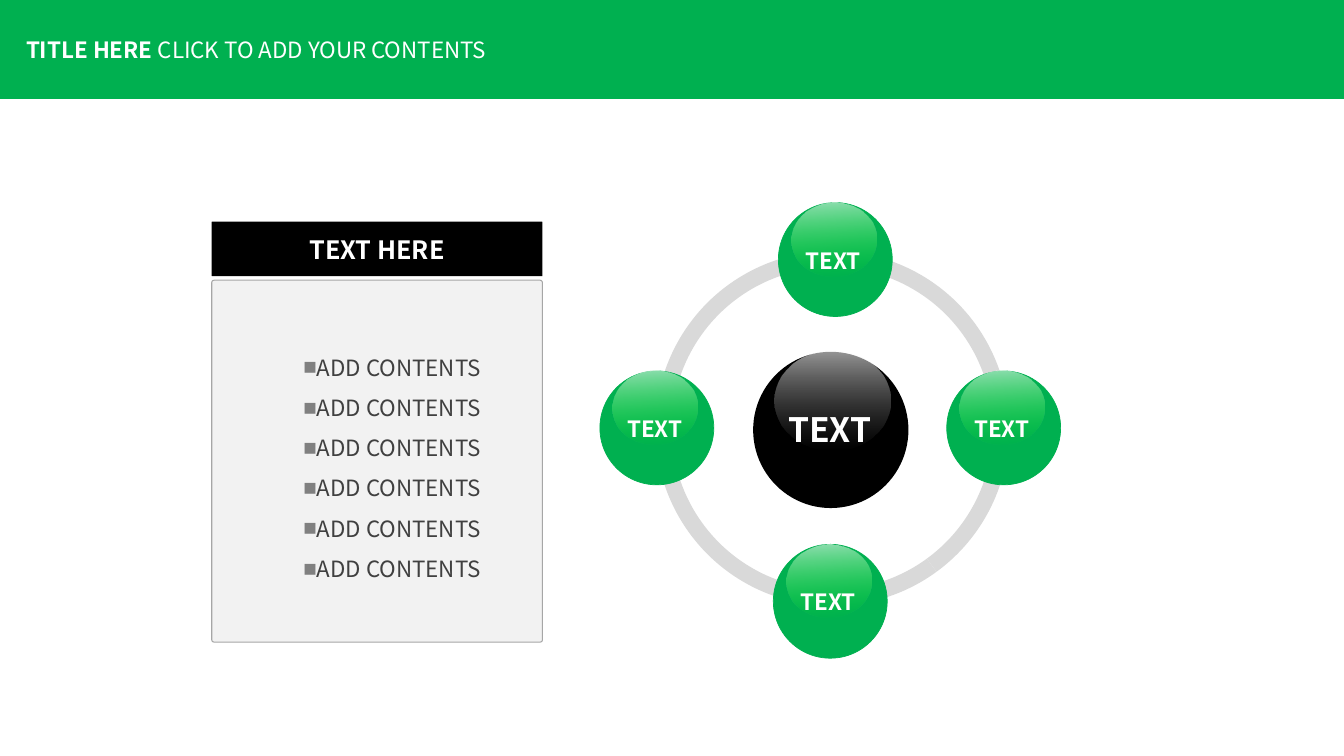
from lxml.etree import SubElement
from pptx import Presentation
from pptx.dml.color import RGBColor
from pptx.enum.shapes import MSO_SHAPE
from pptx.enum.text import MSO_ANCHOR, MSO_AUTO_SIZE, PP_ALIGN
from pptx.oxml.ns import qn
from pptx.util import Emu, Pt

PX = 9144  # 100 px to the inch
FONT = "Noto Sans CJK SC"
GREEN, BLACK, WHITE = "00B050", "000000", "FFFFFF"
RING_ANGLES = [(162, 0), (108, 162), (54, 108), (0, 54)]
SATELLITES = [(767, 540), (595, 368), (939, 368), (772, 201)]
TILT = 356.6


def px(*lengths):
    return [Emu(length * PX) for length in lengths]


def color(hex_code):
    return RGBColor.from_string(hex_code)


def add_run(paragraph, text, size, hex_code=WHITE, bold=True):
    run = paragraph.add_run()
    run.text = text
    run.font.name = FONT
    run.font.size = Pt(size)
    run.font.bold = bold
    run.font.color.rgb = color(hex_code)


def add_panel(slide, kind, box, fill=None, outline=None, weight=1):
    panel = slide.shapes.add_shape(kind, *px(*box))
    panel.shadow.inherit = False
    if fill:
        panel.fill.solid()
        panel.fill.fore_color.rgb = color(fill)
    if outline:
        panel.line.color.rgb = color(outline)
        panel.line.width = Pt(weight)
    else:
        panel.line.fill.background()
    return panel


def add_label(slide, box, runs, size, align=PP_ALIGN.CENTER):
    label = slide.shapes.add_textbox(*px(*box))
    frame = label.text_frame
    frame.word_wrap = True
    frame.auto_size = MSO_AUTO_SIZE.SHAPE_TO_FIT_TEXT
    paragraph = frame.paragraphs[0]
    paragraph.alignment = align
    for text, bold in runs:
        add_run(paragraph, text, size, bold=bold)


def add_gloss(slide, box, end_color, rotation=0):
    """Highlight fading from translucent white to nothing."""
    gloss = add_panel(slide, MSO_SHAPE.OVAL, box)
    gloss.rotation = rotation
    gloss.fill.gradient()
    gloss.fill.gradient_angle = 270
    for stop, hex_code in zip(gloss.fill.gradient_stops, (WHITE, end_color)):
        stop.color.rgb = color(hex_code)
    stop_colors = gloss._element.xpath(".//a:gs/a:srgbClr")
    for stop_color, alpha in zip(stop_colors, (60000, 0)):
        SubElement(stop_color, qn("a:alpha"), val=str(alpha))


def add_satellite(slide, left, top):
    ball = add_panel(slide, MSO_SHAPE.OVAL, (left, top, 113, 113), GREEN, GREEN, 0.5)
    ball.rotation = TILT
    add_gloss(slide, (left + 13, top, 84, 73), "00FF00", TILT)
    add_label(slide, (left + 4, top + 39, 101, 37), [("TEXT", True)], 16)


def add_core(slide):
    add_panel(slide, MSO_SHAPE.OVAL, (747, 349, 154, 155), BLACK)
    add_gloss(slide, (768, 348, 115, 99), "808080")
    add_label(slide, (751, 401, 144, 50), [("TEXT", True)], 24)


def add_ring(slide):
    for start, end in RING_ANGLES:
        arc = add_panel(slide, MSO_SHAPE.BLOCK_ARC, (650, 249, 351, 352), "D9D9D9")
        # Angles are stored in 60000ths of a degree, adjustments in 100000ths
        arc.adjustments[0] = start * 0.6
        arc.adjustments[1] = end * 0.6
        arc.adjustments[2] = 0.046


def add_bullet(paragraph):
    properties = paragraph._p.get_or_add_pPr()
    properties.set("marL", "0")
    properties.set("indent", str(30 * PX))
    bullet_color = SubElement(properties, qn("a:buClr"))
    SubElement(bullet_color, qn("a:srgbClr"), val="808080")
    SubElement(properties, qn("a:buFont"), typeface="Arial")
    SubElement(properties, qn("a:buChar"), char="■")


def add_contents(slide, items):
    card = add_panel(slide, MSO_SHAPE.ROUNDED_RECTANGLE, (210, 278, 328, 359),
                     "F2F2F2", "A6A6A6", 0.75)
    card.adjustments[0] = 0.007
    frame = card.text_frame
    frame.vertical_anchor = MSO_ANCHOR.MIDDLE
    for index, item in enumerate(items):
        paragraph = frame.add_paragraph() if index else frame.paragraphs[0]
        paragraph.alignment = PP_ALIGN.CENTER
        paragraph.line_spacing = 1.5
        add_bullet(paragraph)
        add_run(paragraph, item, 16, "404040", False)


def add_contents_heading(slide, text):
    heading = add_panel(slide, MSO_SHAPE.ROUNDED_RECTANGLE, (210, 220, 328, 54), BLACK)
    heading.adjustments[0] = 0.007
    frame = heading.text_frame
    frame.word_wrap = False
    frame.vertical_anchor = MSO_ANCHOR.MIDDLE
    frame.paragraphs[0].alignment = PP_ALIGN.CENTER
    add_run(frame.paragraphs[0], text, 18)


def main():
    deck = Presentation()
    deck.slide_width, deck.slide_height = px(1333, 750)
    slide = deck.slides.add_slide(deck.slide_layouts[6])

    add_panel(slide, MSO_SHAPE.RECTANGLE, (0, 0, 1335, 98), GREEN, GREEN)
    add_label(slide, (16, 31, 525, 37),
              [("TITLE HERE ", True), ("CLICK TO ADD YOUR CONTENTS", False)],
              16, PP_ALIGN.LEFT)
    add_ring(slide)
    for left, top in SATELLITES:
        add_satellite(slide, left, top)
    add_core(slide)
    add_contents(slide, ["ADD CONTENTS"] * 6)
    add_contents_heading(slide, "TEXT HERE")
    deck.save("out.pptx")


if __name__ == "__main__":
    main()
